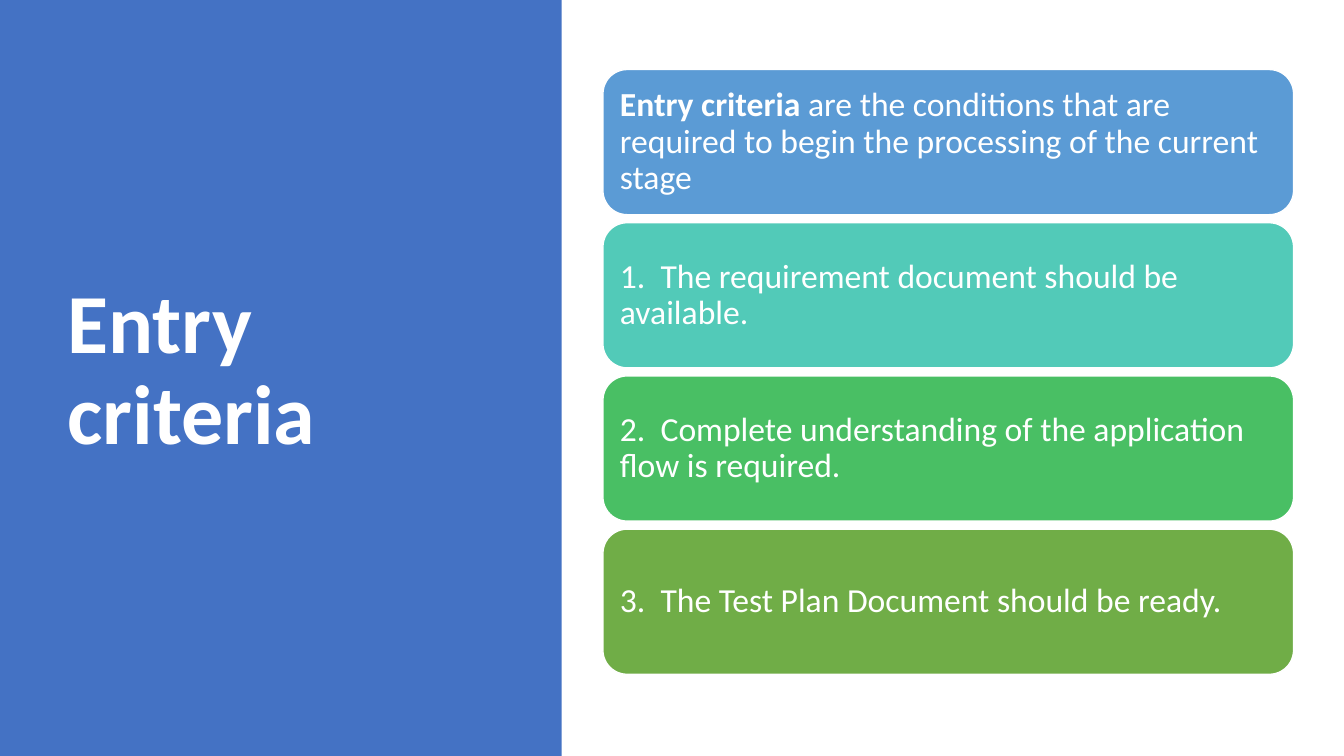
from pptx import Presentation
from pptx.dml.color import RGBColor
from pptx.enum.shapes import MSO_SHAPE
from pptx.enum.text import MSO_ANCHOR, MSO_AUTO_SIZE, PP_ALIGN
from pptx.util import Inches, Pt

WHITE = RGBColor(0xFF, 0xFF, 0xFF)
PANEL_BLUE = RGBColor(0x44, 0x72, 0xC4)
SKY = RGBColor(0x5B, 0x9B, 0xD5)
TEAL = RGBColor(0x52, 0xCA, 0xB8)
GREEN = RGBColor(0x49, 0xBF, 0x64)
OLIVE = RGBColor(0x70, 0xAD, 0x47)

SLIDE_WIDTH, SLIDE_HEIGHT = 13.33, 7.5
CARD_SHARE = 0.24
CRITERIA = [
    (SKY, [("Entry criteria", True),
           (" are the conditions that are required to begin the processing of the current stage", False)]),
    (TEAL, [("1.  The requirement document should be available.", False)]),
    (GREEN, [("2.  Complete understanding of the application flow is required.", False)]),
    (OLIVE, [("3.  The Test Plan Document should be ready.", False)]),
]


def write_spans(shape, spans, size):
    """Write white, left-aligned Calibri runs centred vertically in a shape."""
    frame = shape.text_frame
    frame.word_wrap = True
    frame.auto_size = MSO_AUTO_SIZE.NONE
    frame.vertical_anchor = MSO_ANCHOR.MIDDLE
    para = frame.paragraphs[0]
    para.alignment = PP_ALIGN.LEFT
    para.line_spacing = 0.9
    for text, bold in spans:
        span = para.add_run()
        span.text = text
        span.font.name = "Calibri"
        span.font.size = Pt(size)
        span.font.bold = bold
        span.font.color.rgb = WHITE


def add_block(page, kind, box, color):
    """Add a flat filled shape in the given box."""
    block = page.shapes.add_shape(kind, *map(Inches, box))
    block.shadow.inherit = False
    block.fill.solid()
    block.fill.fore_color.rgb = color
    return block


def add_title_panel(page, box):
    """Fill the box with blue and place the slide title in it."""
    left, top, width, height = box
    panel = add_block(page, MSO_SHAPE.RECTANGLE, box, PANEL_BLUE)
    panel.line.fill.background()
    title = page.shapes.title
    title.element.addprevious(panel.element)
    title.left, title.top = Inches(left + 0.57), Inches(top + height * 0.09)
    title.width, title.height = Inches(width * 0.747), Inches(height * 0.803)
    write_spans(title, [("Entry criteria", True)], 60)


def add_criteria(page, box):
    """Stack the criteria cards with equal gaps in the box."""
    left, top, width, height = box
    card_height = height * CARD_SHARE
    pitch = (height - card_height) / (len(CRITERIA) - 1)
    for row, (color, spans) in enumerate(CRITERIA):
        card_box = (left, top + row * pitch, width, card_height)
        card = add_block(page, MSO_SHAPE.ROUNDED_RECTANGLE, card_box, color)
        card.line.color.rgb = WHITE
        card.line.width = Pt(1)
        frame = card.text_frame
        frame.margin_left = frame.margin_right = Inches(0.1)
        frame.margin_top = frame.margin_bottom = Inches(0.1)
        write_spans(card, spans, 24)


def main():
    """Build and save the deck."""
    deck = Presentation()
    deck.slide_width, deck.slide_height = Inches(SLIDE_WIDTH), Inches(SLIDE_HEIGHT)
    page = deck.slides.add_slide(deck.slide_layouts[5])
    add_title_panel(page, (0, 0, 5.57, SLIDE_HEIGHT))
    add_criteria(page, (5.98, 0.69, 6.85, SLIDE_HEIGHT * 0.8))
    deck.save("out.pptx")


if __name__ == "__main__":
    main()
